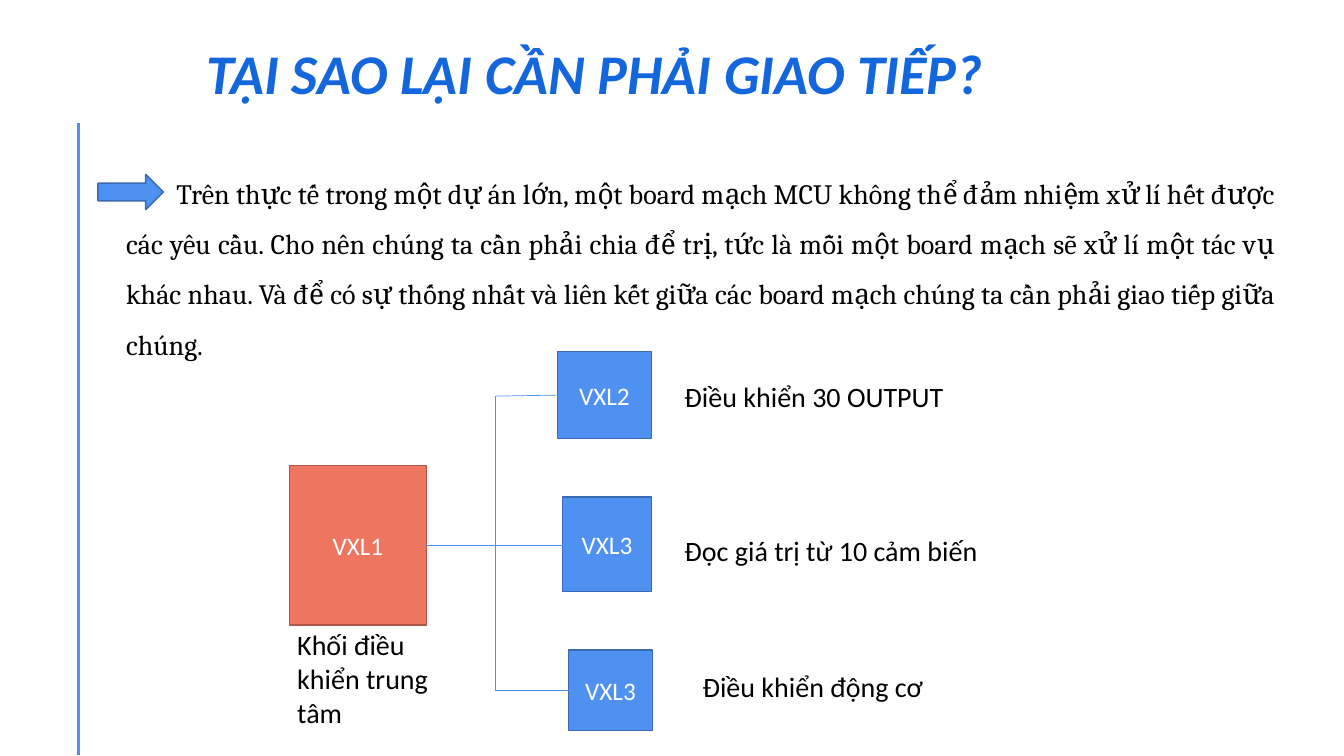
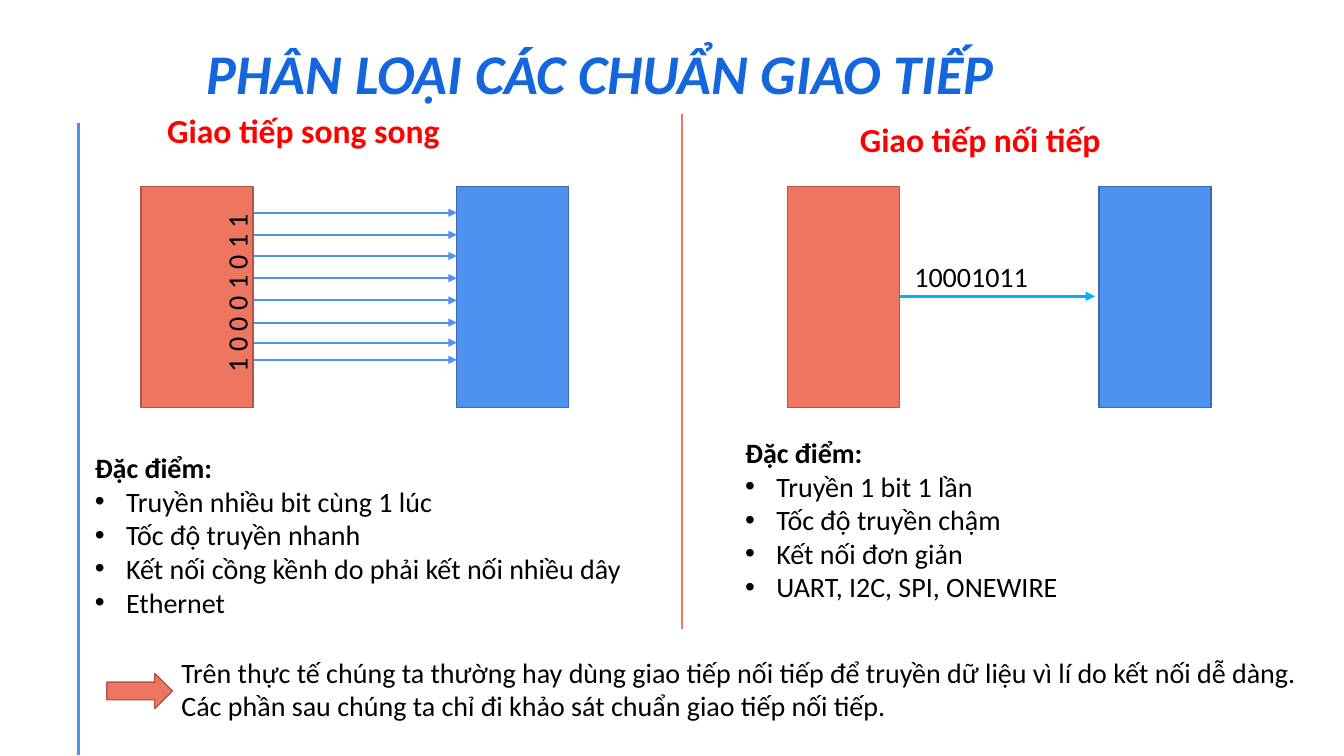
from lxml.etree import SubElement
from pptx import Presentation
from pptx.dml.color import RGBColor
from pptx.enum.shapes import MSO_CONNECTOR, MSO_SHAPE
from pptx.enum.text import MSO_ANCHOR, MSO_AUTO_SIZE, PP_ALIGN
from pptx.oxml.ns import qn
from pptx.util import Inches, Pt

BLUE = RGBColor(0x4E, 0x91, 0xF0)
NAVY = RGBColor(0x3A, 0x6B, 0xB2)
CORAL = RGBColor(0xEE, 0x76, 0x61)
RUST = RGBColor(0xB0, 0x57, 0x48)
CYAN = RGBColor(0x00, 0xB0, 0xF0)
TITLE = RGBColor(0x13, 0x66, 0xDC)
RED = RGBColor(0xFF, 0x00, 0x00)
BLACK = RGBColor(0x00, 0x00, 0x00)
WHITE = RGBColor(0xFF, 0xFF, 0xFF)
EDGE = {BLUE: NAVY, CORAL: RUST}


def write(shape, place, lines, size=20, color=BLACK, bold=False, face="Calibri"):
    """Place a text shape, fill it with plain lines and return its paragraphs."""
    shape.left, shape.top, shape.width, shape.height = map(Inches, place)
    frame = shape.text_frame
    frame.text = "\n".join(lines)
    frame.word_wrap = True
    frame.auto_size = MSO_AUTO_SIZE.NONE
    frame.vertical_anchor = MSO_ANCHOR.TOP
    for par in frame.paragraphs:
        par.space_before = Pt(0)
        props = par._p.get_or_add_pPr()
        props.set("marL", "0")
        props.set("indent", "0")
        SubElement(props, qn("a:buNone"))
        par.font.name = face
        par.font.size = Pt(size)
        par.font.color.rgb = color
        par.font.bold = bold
    return frame.paragraphs


def link(slide, start, end, color, width, tip=False):
    """Draw a straight line, with an arrowhead at its end if tip is set."""
    line = slide.shapes.add_connector(
        MSO_CONNECTOR.STRAIGHT, *map(Inches, start + end))
    line.line.color.rgb = color
    line.line.width = Pt(width)
    props = line.element.spPr
    if tip:
        SubElement(props.find(qn("a:ln")), qn("a:tailEnd"), type="triangle")
    SubElement(props, qn("a:effectLst"))
    return line


prs = Presentation()
prs.slide_width, prs.slide_height = Inches(13.33), Inches(7.5)
why = prs.slides.add_slide(prs.slide_layouts[1])
kinds = prs.slides.add_slide(prs.slide_layouts[3])

# Shared rail on the master, and titles
rail = link(why, (0.78, 1.22), (0.78, 7.49), BLUE, 2)
prs.slide_master.shapes.element.append(rail.element)

for slide, text in ((why, "TẠI SAO LẠI CẦN PHẢI GIAO TIẾP?"),
                    (kinds, "PHÂN LOẠI CÁC CHUẨN GIAO TIẾP")):
    head = write(slide.shapes.title, (1.95, 0, 9.98, 1.01), [text],
                 40, TITLE, True)[0]
    head.font.italic = True
    head.alignment = PP_ALIGN.JUSTIFY
    head.line_spacing = 1.5
    head.space_after = Pt(8)

# Reason for communication
reason = (
    "Trên thực tế trong một dự án lớn, một board mạch MCU không thể đảm nhiệm "
    "xử lí hết được các yêu cầu. Cho nên chúng ta cần phải chia để trị, tức là "
    "mỗi một board mạch sẽ xử lí một tác vụ khác nhau. Và để có sự thống nhất "
    "và liên kết giữa các board mạch chúng ta cần phải giao tiếp giữa chúng."
)
body = write(why.placeholders[1], (1.15, 1.53, 11.59, 2.06), [reason],
             face="Cambria")[0]
body.alignment = PP_ALIGN.JUSTIFY
body.line_spacing = 1.5
body.space_after = Pt(8)
body._p.pPr.set("indent", str(Inches(0.5)))

# Feature lists
lists = (
    (1, (0.84, 4.42, 5.73, 1.78),
     ["Truyền nhiều bit cùng 1 lúc", "Tốc độ truyền nhanh",
      "Kết nối cồng kềnh do phải kết nối nhiều dây", "Ethernet"]),
    (2, (7.29, 4.27, 5.9, 1.78),
     ["Truyền 1 bit 1 lần", "Tốc độ truyền chậm", "Kết nối đơn giản",
      "UART, I2C, SPI, ONEWIRE"]),
)
for idx, place, items in lists:
    first, *rest = write(kinds.placeholders[idx], place, ["Đặc điểm:"] + items)
    first.font.bold = True
    for par in rest:
        props = par._p.pPr
        props.set("marL", str(Inches(0.31)))
        props.set("indent", str(Inches(-0.31)))
        mark = props.find(qn("a:buNone"))
        mark.tag = qn("a:buChar")
        mark.set("char", "•")

# Boxes and block arrows
RECT, ARROW = MSO_SHAPE.RECTANGLE, MSO_SHAPE.RIGHT_ARROW
blocks = [
    (why, ARROW, (0.97, 1.73, 0.65, 0.35), BLUE, ""),
    (why, RECT, (2.87, 4.62, 1.36, 1.58), CORAL, "VXL1"),
    (why, RECT, (5.53, 3.49, 0.93, 0.86), BLUE, "VXL2"),
    (why, RECT, (5.58, 4.93, 0.88, 0.94), BLUE, "VXL3"),
    (why, RECT, (5.64, 6.45, 0.83, 0.8), BLUE, "VXL3"),
    (kinds, ARROW, (1.06, 6.68, 0.65, 0.35), CORAL, ""),
]
for left, color in ((1.4, CORAL), (4.53, BLUE), (7.81, CORAL), (10.9, BLUE)):
    blocks.append((kinds, RECT, (left, 1.85, 1.11, 2.19), color, ""))

for slide, kind, place, color, text in blocks:
    block = slide.shapes.add_shape(kind, *map(Inches, place))
    block.shadow.inherit = False
    block.fill.solid()
    block.fill.fore_color.rgb = color
    block.line.color.rgb = EDGE[color]
    block.line.width = Pt(1)
    if text:
        par = write(block, place, [text], 18, WHITE)[0]
        par.alignment = PP_ALIGN.CENTER
        block.text_frame.vertical_anchor = MSO_ANCHOR.MIDDLE

# Tree branches, divider and signal wires
for start, end in (((4.23, 5.41), (5.58, 5.41)),
                   ((4.91, 6.85), (4.91, 3.93)),
                   ((4.91, 3.93), (5.53, 3.92)),
                   ((4.91, 6.85), (5.64, 6.85))):
    link(why, start, end, BLUE, 0.5)

link(kinds, (6.76, 1.13), (6.76, 6.24), CORAL, 1.5)
for y in (2.11, 2.33, 2.54, 2.76, 2.98, 3.2, 3.4, 3.57):
    link(kinds, (2.52, y), (4.53, y), BLUE, 1.5, True)
link(kinds, (8.93, 2.94), (10.86, 2.94), CYAN, 2.25, True)

# Labels
labels = (
    (why, (6.69, 3.72, 3.01, 0.44), ["Điều khiển 30 OUTPUT"]),
    (why, (6.69, 5.24, 3.22, 0.44), ["Đọc giá trị từ 10 cảm biến"]),
    (why, (6.87, 6.59, 2.44, 0.44), ["Điều khiển động cơ"]),
    (why, (2.85, 6.18, 1.7, 1.11), ["Khối điều khiển trung tâm"]),
    (kinds, (8.97, 2.53, 1.48, 0.44), ["10001011"]),
    (kinds, (1.7, 6.45, 11.59, 0.77),
     ["Trên thực tế chúng ta thường hay dùng giao tiếp nối tiếp để truyền dữ "
      "liệu vì lí do kết nối dễ dàng.",
      "Các phần sau chúng ta chỉ đi khảo sát chuẩn giao tiếp nối tiếp."]),
)
for slide, place, lines in labels:
    write(slide.shapes.add_textbox(0, 0, 0, 0), place, lines)

for place, text in (((1.56, 1.04, 4.16, 0.5), "Giao tiếp song song"),
                    ((8.43, 1.13, 3.57, 0.5), "Giao tiếp nối tiếp")):
    write(kinds.shapes.add_textbox(0, 0, 0, 0), place, [text], 24, RED, True)

bits = kinds.shapes.add_textbox(0, 0, 0, 0)
write(bits, (1.38, 2.6, 1.94, 0.44), ["1 0 0 0 1 0 1 1"])
bits.rotation = 270

prs.save("out.pptx")
